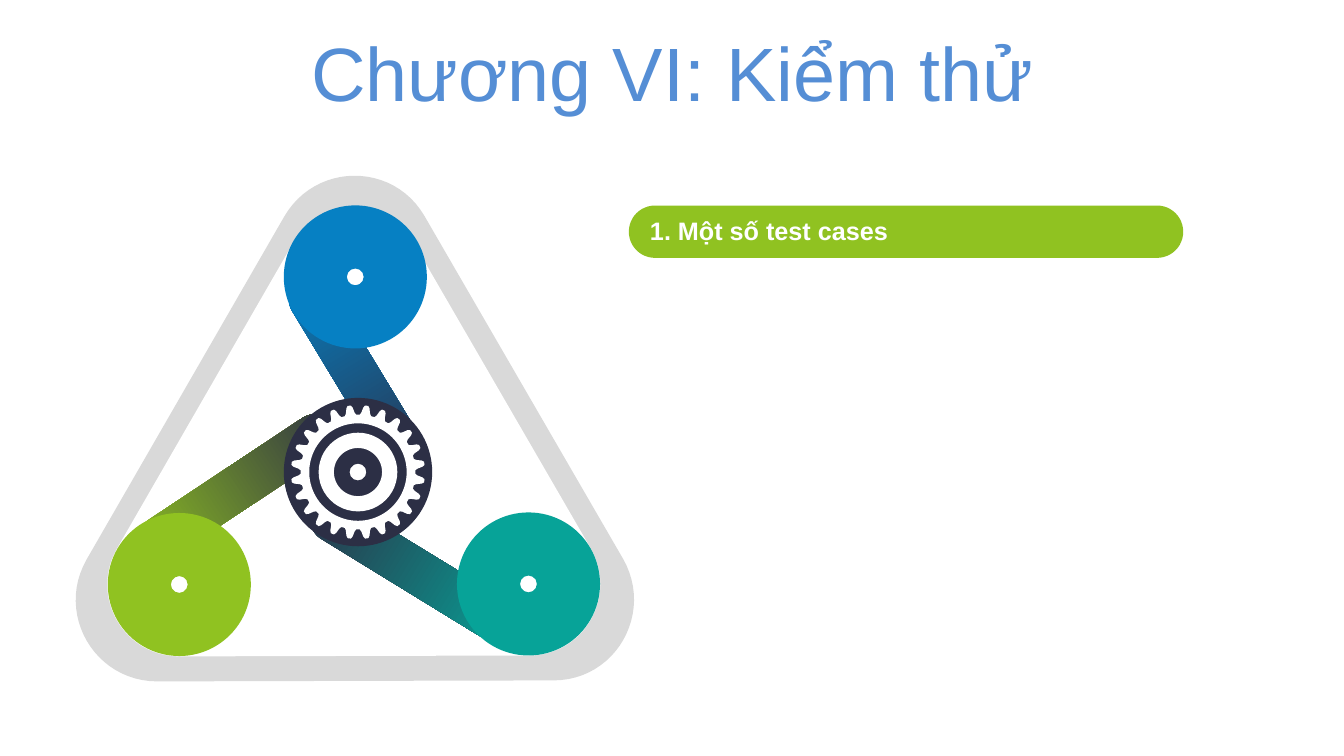
import math
from dataclasses import dataclass

from pptx import Presentation
from pptx.dml.color import RGBColor
from pptx.enum import shapes, text
from pptx.util import Pt


@dataclass(frozen=True)
class Theme:
    font: str = "Arial"
    title_size: float = 54
    item_size: float = 18
    title: str = "558ED5"
    white: str = "FFFFFF"
    belt: str = "D9D9D9"
    hub: str = "2C2F45"
    blue: str = "0680C3"
    green: str = "90C221"
    teal: str = "07A398"


THEME = Theme()

BELT_CORNERS = [
    ((445, 399), (467.3, 437.8), (439.9, 486), (395.3, 486)),
    ((112.3, 486.7), (67.7, 486.7), (39.6, 438.5), (61.9, 399.6)),
    ((203, 154.8), (225.4, 115.9), (280.8, 115.9), (303.1, 154.1)),
]
BELT_PIVOT = (246.5, 334.5)
HUB_CENTER = (255.7, 337.2)
TOOTH_PROFILE = [(-5.7, 41), (-4.2, 42.6), (-2.8, 46.2), (-1.4, 47.8),
                 (1.4, 47.8), (2.8, 46.2), (4.2, 42.6), (5.7, 41)]


def paint(shape, color):
    shape.shadow.inherit = False
    shape.fill.solid()
    shape.fill.fore_color.rgb = RGBColor.from_string(color)
    shape.line.fill.background()


def add_outline(slide, contours, color):
    builder = None
    for contour in contours:
        points = [(Pt(x), Pt(y)) for x, y in contour]
        if builder is None:
            builder = slide.shapes.build_freeform(*points[0], scale=1.0)
        else:
            builder.move_to(*points[0])
        builder.add_line_segments(points[1:], close=True)
    paint(builder.convert_to_shape(), color)


def curve(corner, steps=24):
    for i in range(steps + 1):
        t = i / steps
        weights = ((1 - t) ** 3, 3 * t * (1 - t) ** 2, 3 * t * t * (1 - t), t ** 3)
        yield tuple(sum(w * point[axis] for w, point in zip(weights, corner))
                    for axis in (0, 1))


def add_belt(slide, scale, color):
    outline = [tuple(pivot + scale * (value - pivot)
                     for value, pivot in zip(point, BELT_PIVOT))
               for corner in BELT_CORNERS for point in curve(corner)]
    add_outline(slide, [outline], color)


def around_hub(degrees, radius):
    angle = math.radians(degrees)
    return (HUB_CENTER[0] + radius * math.sin(angle),
            HUB_CENTER[1] - radius * math.cos(angle))


def add_gear(slide, teeth, hole_radius, color):
    pitch = 360 / teeth
    rim = [around_hub(pitch * (i + 0.5) + offset, radius)
           for i in range(teeth) for offset, radius in TOOTH_PROFILE]
    hole = [around_hub(-degrees, hole_radius) for degrees in range(0, 360, 4)]
    add_outline(slide, [rim, hole], color)


def add_ring(slide, center, radius, hole_radius, color):
    x, y = center
    ring = slide.shapes.add_shape(shapes.MSO_SHAPE.DONUT, Pt(x - radius), Pt(y - radius),
                                  Pt(2 * radius), Pt(2 * radius))
    ring.adjustments[0] = (radius - hole_radius) / (2 * radius)
    paint(ring, color)


def add_pill(slide, left, top, width, height, color):
    pill = slide.shapes.add_shape(shapes.MSO_SHAPE.ROUNDED_RECTANGLE,
                                  Pt(left), Pt(top), Pt(width), Pt(height))
    pill.adjustments[0] = 0.5
    paint(pill, color)
    return pill


def add_arm(slide, left, top, rotation, start, end):
    arm = add_pill(slide, left, top, 31.7, 163.4, start)
    arm.rotation = rotation
    arm.fill.gradient()
    arm.fill.gradient_angle = 270
    for stop, color in zip(arm.fill.gradient_stops, (start, end)):
        stop.color.rgb = RGBColor.from_string(color)


def add_run(paragraph, words, size, color, bold=False):
    run = paragraph.add_run()
    run.text = words
    run.font.name = THEME.font
    run.font.size = Pt(size)
    run.font.bold = bold
    run.font.color.rgb = RGBColor.from_string(color)


def set_title(slide, words):
    title = slide.shapes.title
    title.left, title.top, title.width, title.height = Pt(24.5), Pt(26.6), Pt(911.5), Pt(56.9)
    frame = title.text_frame
    frame.auto_size = text.MSO_AUTO_SIZE.NONE
    frame.vertical_anchor = text.MSO_ANCHOR.MIDDLE
    paragraph = frame.paragraphs[0]
    paragraph.alignment = text.PP_ALIGN.CENTER
    paragraph.line_spacing = 0.9
    add_run(paragraph, words, THEME.title_size, THEME.title)


def add_item(slide, left, top, words, color):
    add_pill(slide, left, top, 396, 37.4, color)
    label = slide.shapes.add_textbox(Pt(left + 8), Pt(top + 3.6), Pt(370.8), Pt(29))
    frame = label.text_frame
    frame.word_wrap = True
    frame.auto_size = text.MSO_AUTO_SIZE.SHAPE_TO_FIT_TEXT
    add_run(frame.paragraphs[0], words, THEME.item_size, THEME.white, bold=True)


def main():
    deck = Presentation()
    deck.slide_width, deck.slide_height = Pt(960), Pt(540)
    slide = deck.slides.add_slide(deck.slide_layouts[5])
    set_title(slide, "Chương VI: Kiểm thử")

    add_belt(slide, 1, THEME.belt)
    add_belt(slide, 0.883, THEME.white)

    add_arm(slide, 154.1, 266.4, 236.5, THEME.green, THEME.hub)
    add_arm(slide, 277.9, 324, 301.5, THEME.hub, THEME.teal)
    add_arm(slide, 240.5, 188.6, 328.8, THEME.blue, THEME.hub)

    add_ring(slide, HUB_CENTER, 53, 6, THEME.hub)
    add_gear(slide, 24, 34.8, THEME.white)
    add_ring(slide, HUB_CENTER, 28.1, 17.2, THEME.white)

    for center, color in (((253.8, 197.8), THEME.blue),
                          ((128.1, 417.5), THEME.green),
                          ((377.5, 417.1), THEME.teal)):
        add_ring(slide, center, 51.1, 6, color)

    add_item(slide, 449.2, 146.8, "1. Một số test cases", THEME.green)
    deck.save("out.pptx")


if __name__ == "__main__":
    main()
